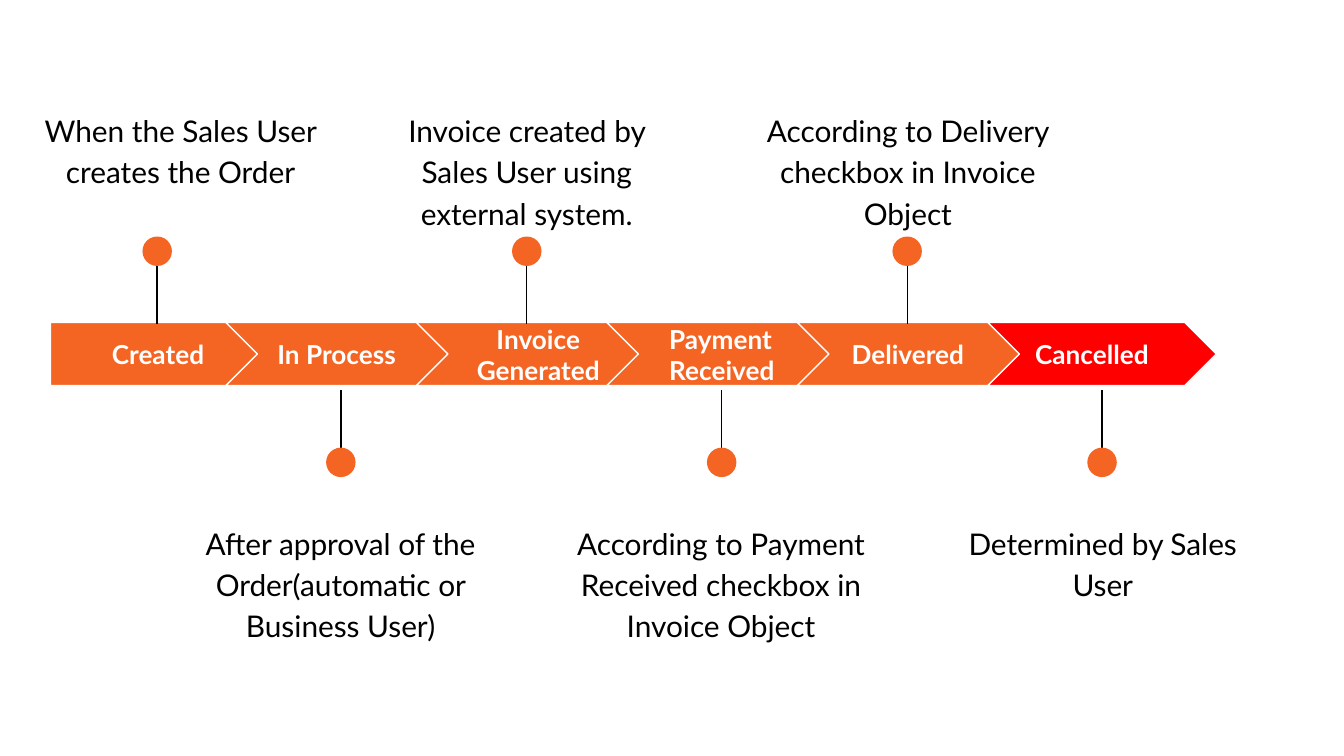
from typing import NamedTuple

from lxml.etree import SubElement
from pptx import Presentation
from pptx.dml.color import RGBColor
from pptx.enum.shapes import MSO_CONNECTOR as Conn, MSO_SHAPE as Kind
from pptx.enum.text import MSO_ANCHOR as Anchor, PP_ALIGN as Align
from pptx.oxml.ns import qn
from pptx.util import Pt

ORANGE = RGBColor(0xF4, 0x65, 0x24)
RED = RGBColor(0xFF, 0x00, 0x00)
WHITE = RGBColor(0xFF, 0xFF, 0xFF)
BLACK = RGBColor(0x00, 0x00, 0x00)

FONT = "Lato"
INSET = 7.2
BAR_TOP, BAR_TALL = 172.8, 33.8
CHEV_LEFT, CHEV_STEP, CHEV_WIDE = 121, 102.05, 122.4
DOT = 15.8


class Step(NamedTuple):
    name: str
    left: float  # name box
    wide: float
    note: str
    note_left: float
    note_wide: float
    pin: float  # centre of the pin
    fill: RGBColor = ORANGE
    align: Align = Align.CENTER


class Side(NamedTuple):
    note: float
    dot: float
    start: float
    end: float


ABOVE = Side(note=50.4, dot=126.7, start=129.6, end=173.5)
BELOW = Side(note=271.4, dot=239.8, start=252, end=208.8)

STEPS = [
    Step("Created", 27.4, 114.5, "When the Sales User creates the Order",
         8.6, 176.4, 84.2),
    Step("In Process", 123.1, 114.5,
         "After approval of the Order(automatic or Business User)",
         94.3, 176.4, 182.6),
    Step("Invoice Generated", 231.1, 114.5,
         "Invoice created by Sales User using external system.",
         205.2, 154.1, 282.2),
    Step("Payment Received", 351.4, 82.8,
         "According to Payment Received checkbox in Invoice Object",
         298.1, 176.4, 386.6, align=Align.LEFT),
    Step("Delivered", 429.1, 114.5,
         "According to Delivery checkbox in Invoice Object",
         398.2, 176.4, 486),
    Step("Cancelled", 537.1, 95.8, "Determined by Sales User",
         502.6, 176.4, 590.4, fill=RED),
]


def add_text(slide, text: str, left: float, top: float, wide: float,
             tall: float, *, size: float, color: RGBColor, bold: bool = False,
             align: Align = Align.CENTER, anchor: Anchor = Anchor.TOP,
             space: float = 1.0, after: float = 0) -> None:
    box = slide.shapes.add_textbox(Pt(left), Pt(top), Pt(wide), Pt(tall))
    frame = box.text_frame
    frame.word_wrap = True
    frame.vertical_anchor = anchor
    frame.margin_left = frame.margin_right = Pt(INSET)
    frame.margin_top = frame.margin_bottom = Pt(INSET)
    para = frame.paragraphs[0]
    para.alignment = align
    para.line_spacing = space
    para.space_after = Pt(after)
    run = para.add_run()
    run.text = text
    font = run.font
    font.name, font.size, font.bold = FONT, Pt(size), bold
    font.color.rgb = color


def add_form(slide, kind: Kind, left: float, top: float, wide: float,
             tall: float, fill: RGBColor, edge: bool = False) -> None:
    form = slide.shapes.add_shape(kind, Pt(left), Pt(top), Pt(wide), Pt(tall))
    form.shadow.inherit = False
    form.fill.solid()
    form.fill.fore_color.rgb = fill
    if edge:
        form.line.color.rgb = WHITE
        form.line.width = Pt(0.75)
    else:
        form.line.fill.background()


def add_pin(slide, mid: float, side: Side) -> None:
    stem = slide.shapes.add_connector(
        Conn.STRAIGHT, Pt(mid), Pt(side.start), Pt(mid), Pt(side.end))
    stem.line.color.rgb = BLACK
    stem.line.width = Pt(0.75)
    SubElement(stem._element.spPr, qn("a:effectLst"))
    add_form(slide, Kind.OVAL, mid - DOT / 2, side.dot, DOT, DOT, ORANGE)


def add_arrow(slide, rank: int, step: Step) -> None:
    if rank == 0:
        kind, left, wide = Kind.PENTAGON, 27, 114.5
    else:
        kind, wide = Kind.CHEVRON, CHEV_WIDE
        left = CHEV_LEFT + (rank - 1) * CHEV_STEP
    add_form(slide, kind, left, BAR_TOP, wide, BAR_TALL, step.fill, edge=True)


def main() -> None:
    deck = Presentation()
    deck.slide_width, deck.slide_height = Pt(720), Pt(405)
    slide = deck.slides.add_slide(deck.slide_layouts[6])

    # Process bar
    for rank, step in enumerate(STEPS):
        add_arrow(slide, rank, step)

    # Names, pins and notes, in turn above and below the bar
    for rank, step in enumerate(STEPS):
        side = BELOW if rank % 2 else ABOVE
        add_text(slide, step.name, step.left, 171.4, step.wide, 36.7,
                 size=14, color=WHITE, bold=True, align=step.align,
                 anchor=Anchor.MIDDLE)
        add_pin(slide, step.pin, side)
        add_text(slide, step.note, step.note_left, side.note, step.note_wide,
                 71.3, size=16, color=BLACK, space=1.15, after=16)

    deck.save("out.pptx")


if __name__ == "__main__":
    main()
